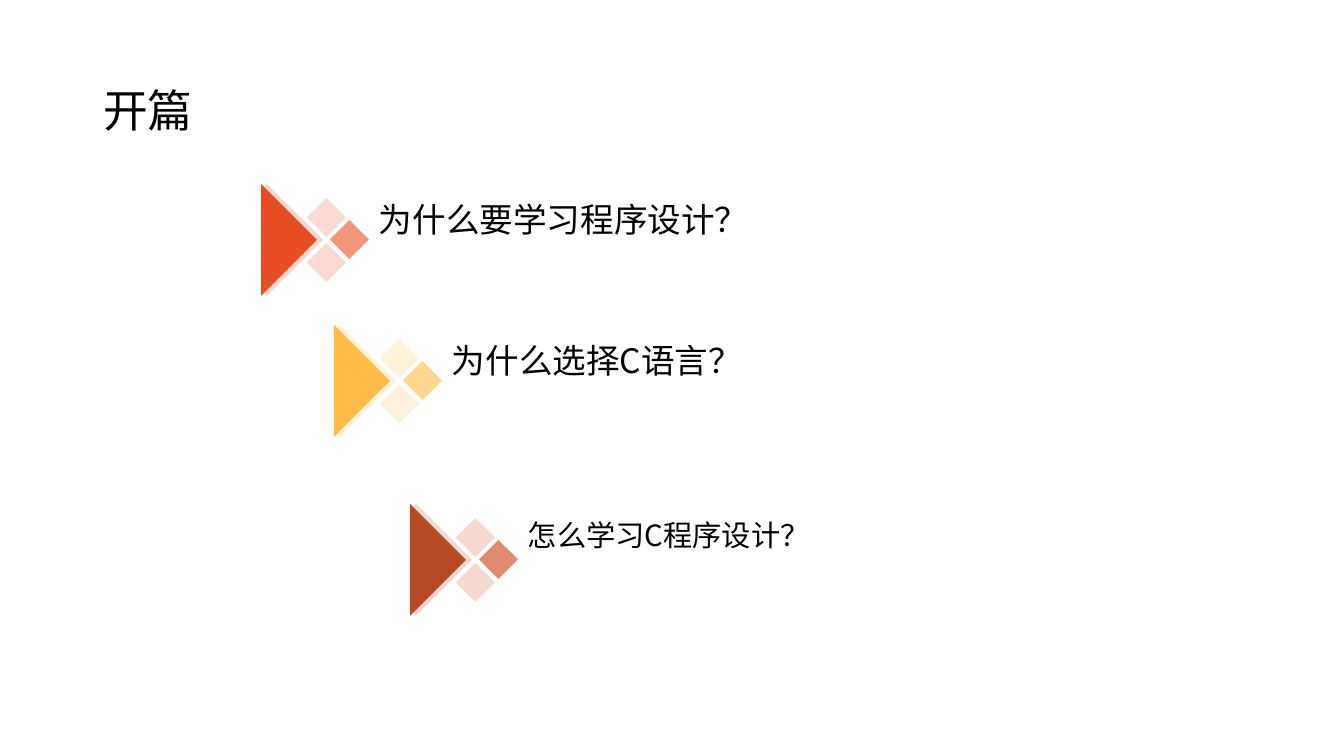
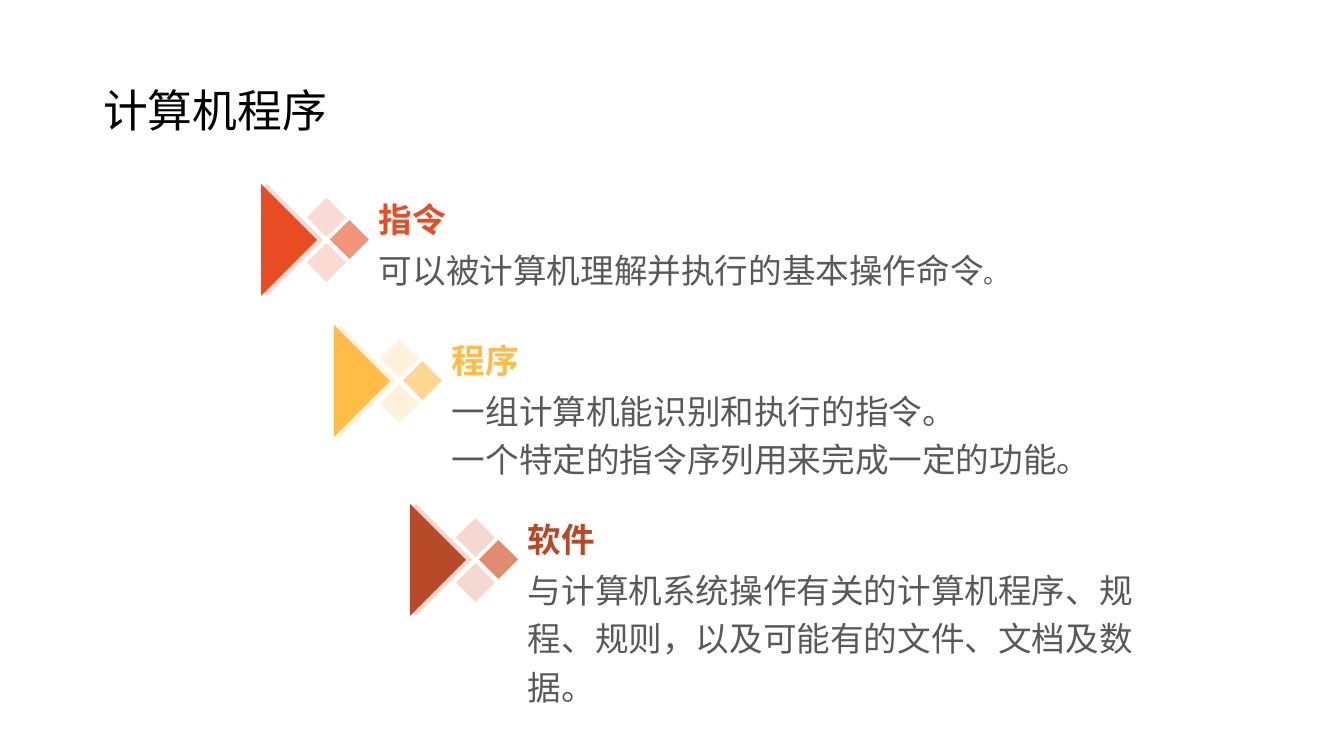
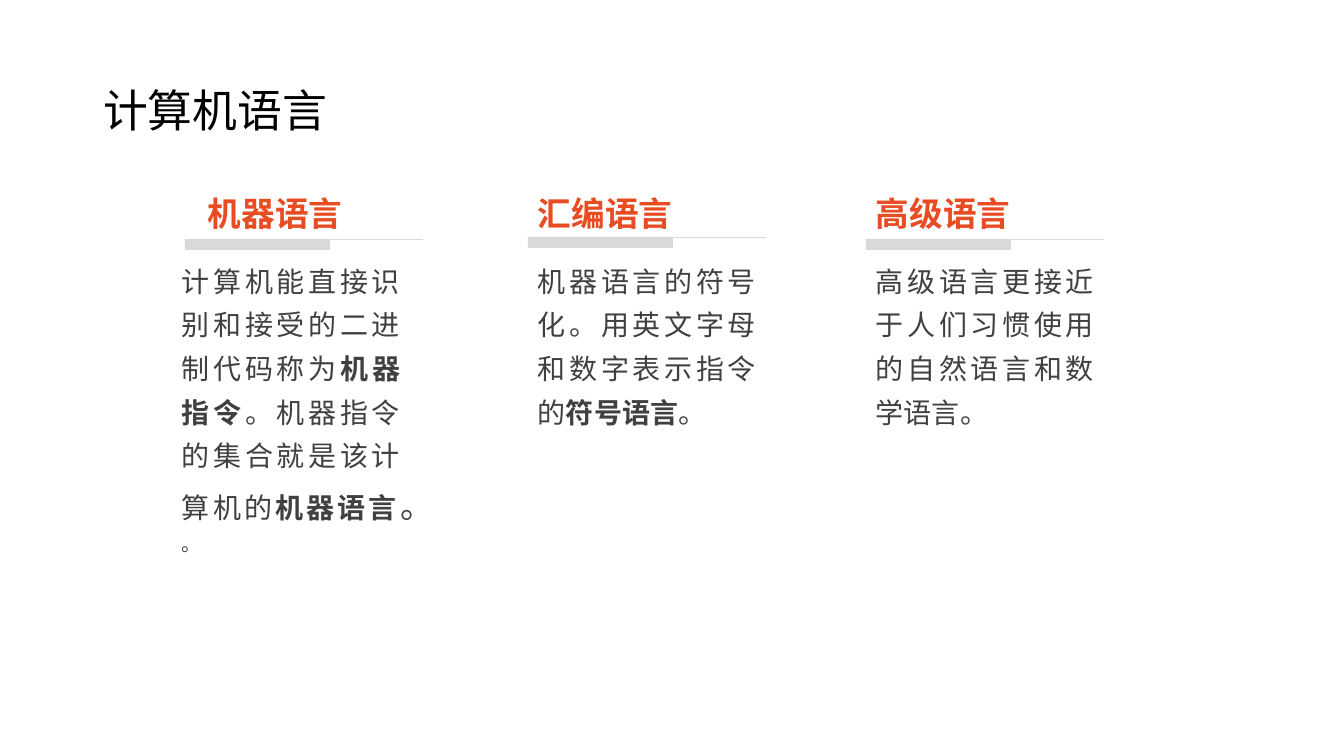
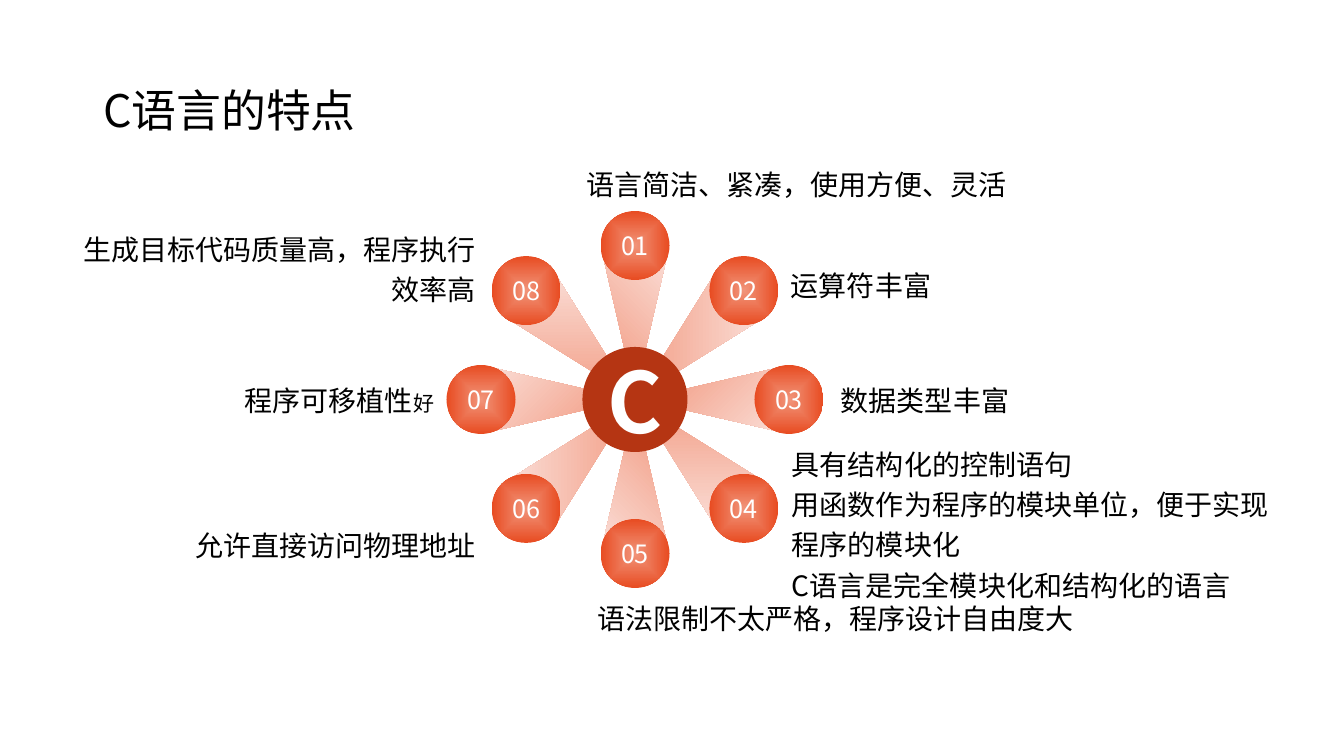
from dataclasses import dataclass, replace
from math import cos, radians, sin

from lxml.etree import SubElement
from pptx import Presentation
from pptx.dml.color import RGBColor
from pptx.enum.shapes import MSO_CONNECTOR as Connector, MSO_SHAPE as Preset
from pptx.enum.text import MSO_ANCHOR as Anchor, MSO_AUTO_SIZE as AutoSize, PP_ALIGN as Align
from pptx.oxml.ns import qn
from pptx.util import Emu, Pt

SCALE = 914400 / 100.8
FONT = "Noto Sans CJK SC"
WHITE = RGBColor(0xFF, 0xFF, 0xFF)
BLACK = RGBColor(0x00, 0x00, 0x00)
DARK_GRAY = RGBColor(0x40, 0x40, 0x40)
GRAY = RGBColor(0x59, 0x59, 0x59)
LIGHT_GRAY = RGBColor(0xD9, 0xD9, 0xD9)
ORANGE = RGBColor(0xE8, 0x4C, 0x22)
ORANGE_MID = RGBColor(0xF1, 0x94, 0x7A)
ORANGE_PALE = RGBColor(0xFA, 0xDB, 0xD3)
YELLOW = RGBColor(0xFF, 0xBD, 0x47)
YELLOW_MID = RGBColor(0xFF, 0xD7, 0x91)
YELLOW_PALE = RGBColor(0xFF, 0xF2, 0xDA)
BROWN = RGBColor(0xB6, 0x49, 0x26)
BROWN_MID = RGBColor(0xE1, 0x8B, 0x6F)
BROWN_PALE = RGBColor(0xF5, 0xD8, 0xCF)
HUB_RED = RGBColor(0xB5, 0x35, 0x13)


@dataclass(frozen=True)
class Style:
    size: float
    color: RGBColor
    bold: bool = False
    align: Align = Align.LEFT
    spacing: float = 1.0


@dataclass(frozen=True)
class Marker:
    left: int
    top: int
    main: RGBColor
    middle: RGBColor
    pale: RGBColor
    edge: RGBColor


TITLE = Style(32, BLACK, spacing=0.9)
QUESTION = Style(24, BLACK)
HEADING = Style(24, ORANGE, bold=True)
DESCRIPTION = Style(24, GRAY, spacing=1.2)
COLUMN = Style(20, DARK_GRAY, align=Align.JUSTIFY, spacing=1.3)
FEATURE = Style(20, BLACK, spacing=1.2)
NUMBER = Style(18, WHITE, align=Align.CENTER)
HUB = Style(60, WHITE, bold=True, align=Align.CENTER)

MARKERS = [
    Marker(261, 184, ORANGE, ORANGE_MID, ORANGE_PALE, BROWN_PALE),
    Marker(334, 325, YELLOW, YELLOW_MID, YELLOW_PALE, YELLOW_PALE),
    Marker(410, 504, BROWN, BROWN_MID, BROWN_PALE, BROWN_PALE),
]


def px(length):
    return Emu(round(length * SCALE))


def place(left, top, width, height):
    return px(left), px(top), px(width), px(height)


def write_text(frame, paragraphs, style, anchor):
    frame.word_wrap = True
    frame.auto_size = AutoSize.NONE
    frame.vertical_anchor = anchor
    for index, runs in enumerate(paragraphs):
        paragraph = frame.add_paragraph() if index else frame.paragraphs[0]
        paragraph.alignment = style.align
        paragraph.line_spacing = style.spacing
        for text, changes in runs:
            look = replace(style, **changes)
            run = paragraph.add_run()
            run.text = text
            run.font.size = Pt(look.size)
            run.font.bold = look.bold
            run.font.color.rgb = look.color
            run.font.name = FONT
            properties = run.font._element
            properties.set("lang", "zh-CN")
            SubElement(properties, qn("a:ea"), typeface=FONT)


def plain(*lines):
    return [[(line, {})] for line in lines]


def add_text(slide, box, paragraphs, style, anchor=Anchor.TOP):
    textbox = slide.shapes.add_textbox(*place(*box))
    write_text(textbox.text_frame, paragraphs, style, anchor)


def clean(shape):
    shape.shadow.inherit = False
    shape.line.fill.background()


def add_preset(slide, preset, box, color=None):
    shape = slide.shapes.add_shape(preset, *place(*box))
    clean(shape)
    if color is not None:
        shape.fill.solid()
        shape.fill.fore_color.rgb = color
    return shape


def add_outline(slide, left, top, points, color):
    (first_x, first_y), *others = [(left + x, top + y) for x, y in points]
    builder = slide.shapes.build_freeform(first_x, first_y, scale=SCALE)
    builder.add_line_segments(others, close=True)
    shape = builder.convert_to_shape()
    clean(shape)
    shape.fill.solid()
    shape.fill.fore_color.rgb = color


def fill_gradient(shape, inner, outer, centered=False):
    shape.fill.gradient()
    first, last = shape.fill.gradient_stops
    first.position, last.position = 0, 0.99
    first.color.rgb, last.color.rgb = inner, outer
    shape.fill.gradient_angle = 315
    if centered:
        gradient = shape._element.spPr.find(qn("a:gradFill"))
        gradient.remove(gradient.find(qn("a:lin")))
        shading = SubElement(gradient, qn("a:path"), path="shape")
        SubElement(shading, qn("a:fillToRect"), l="50000", t="50000", r="50000", b="50000")


def add_titled_slide(presentation, title):
    slide = presentation.slides.add_slide(presentation.slide_layouts[5])
    shape = slide.shapes.title
    shape.left, shape.top, shape.width, shape.height = place(93, 40, 1159, 146)
    write_text(shape.text_frame, plain(title), TITLE, Anchor.MIDDLE)
    return slide


def add_marker(slide, marker):
    left, top = marker.left, marker.top
    for x, y, color in [(46, 14, marker.pale), (46, 59, marker.pale), (69, 36, marker.middle)]:
        add_preset(slide, Preset.DIAMOND, (left + x, top + y, 39, 39), color)
    add_outline(slide, left, top,
                [(6, 0), (62, 56), (6, 112), (3, 109), (56, 56), (3, 3)], marker.edge)
    add_outline(slide, left, top, [(0, 0), (56, 56), (0, 112)], marker.main)


def add_marked_heading(slide, marker, text, style, lift=0):
    add_marker(slide, marker)
    box = (marker.left + 108, marker.top - lift, 386, 60)
    add_text(slide, box, plain(text), style, Anchor.BOTTOM)


def build_opening(presentation):
    slide = add_titled_slide(presentation, "开篇")
    questions = [("为什么要学习程序设计？", 24, 0), ("为什么选择C语言？", 24, 0),
                 ("怎么学习C程序设计？", 20.9, 7)]
    for marker, (text, size, lift) in zip(MARKERS, questions):
        add_marked_heading(slide, marker, text, replace(QUESTION, size=size), lift)


def build_programs(presentation):
    slide = add_titled_slide(presentation, "计算机程序")
    terms = [
        ("指令", 687, 71, [[("可以被计算机理解并执行的基本操作命令", {}), ("。", {"size": 18})]]),
        ("程序", 652, 112, plain("一组计算机能识别和执行的指令。",
                               "一个特定的指令序列用来完成一定的功能。")),
        ("软件", 651, 140, plain("与计算机系统操作有关的计算机程序、规程、规则，"
                               "以及可能有的文件、文档及数据。")),
    ]
    for marker, (term, width, height, description) in zip(MARKERS, terms):
        add_marked_heading(slide, marker, term, replace(HEADING, color=marker.main))
        box = (marker.left + 108, marker.top + 53, width, height)
        add_text(slide, box, description, DESCRIPTION)


def add_language(slide, left, bar_top, spread, heading, height, body):
    add_text(slide, (left + spread, 190, 238, 48), plain(heading), HEADING, Anchor.BOTTOM)
    add_text(slide, (left - spread, 249, 238, height), body, COLUMN)
    add_preset(slide, Preset.RECTANGLE, (left, bar_top, 145, 11), LIGHT_GRAY)
    rule = slide.shapes.add_connector(Connector.STRAIGHT, px(left), px(bar_top),
                                      px(left + 238), px(bar_top))
    rule.line.color.rgb = LIGHT_GRAY
    rule.line.width = Pt(0.5)
    SubElement(rule._element.spPr, qn("a:effectLst"))


def build_languages(presentation):
    slide = add_titled_slide(presentation, "计算机语言")
    strong = {"bold": True}
    machine = [
        [("计算机能直接识别和接受的二进制代码称为", {}), ("机器指令", strong),
         ("。机器指令的集合就是该计算机的", {}), ("机器语言", strong), ("。", {"size": 24})],
        [("。", {"size": 14})],
    ]
    assembly = [[("机器语言的符号化。用英文字母和数字表示指令的", {}),
                 ("符号语言", strong), ("。", {})]]
    high_level = plain("高级语言更接近于人们习惯使用的自然语言和数学语言。")
    add_language(slide, 185, 239, 13, "机器语言", 453, machine)
    add_language(slide, 528, 237, 0, "汇编语言", 270, assembly)
    add_language(slide, 866, 239, 0, "高级语言", 270, high_level)


def add_disc(slide, x, y, size, text, style, color=None):
    disc = add_preset(slide, Preset.OVAL, (x - size / 2, y - size / 2, size, size), color)
    frame = disc.text_frame
    frame.margin_left = frame.margin_right = frame.margin_top = frame.margin_bottom = 0
    write_text(frame, plain(text), style, Anchor.MIDDLE)
    return disc


def add_wheel(slide, center_x, center_y, count):
    def spot(index, distance):
        angle = radians(index * 360 / count)
        return center_x + distance * sin(angle), center_y - distance * cos(angle)

    for index in range(count):
        x, y = spot(index, 74)
        petal = add_preset(slide, Preset.ISOSCELES_TRIANGLE, (x - 32, y - 69.5, 64, 139))
        fill_gradient(petal, ORANGE_MID, ORANGE_PALE)
        petal.rotation = index * 360 / count
        petal._element.spPr.find(qn("a:xfrm")).set("flipV", "1")
    for index in range(count):
        x, y = spot(index, 154)
        disc = add_disc(slide, x, y, 69, f"{index + 1:02d}", NUMBER)
        fill_gradient(disc, ORANGE_MID, ORANGE, centered=True)
    add_disc(slide, center_x, center_y, 105, "C", HUB, HUB_RED)


def build_features(presentation):
    slide = add_titled_slide(presentation, "C语言的特点")
    add_wheel(slide, 635, 399.5, 8)
    features = [
        ((566, 166, 461, 40), Align.CENTER, Anchor.BOTTOM, plain("语言简洁、紧凑，使用方便、灵活")),
        ((781, 262, 201, 40), Align.LEFT, Anchor.MIDDLE, plain("运算符丰富")),
        ((831, 377, 234, 40), Align.LEFT, Anchor.MIDDLE, plain("数据类型丰富")),
        ((782, 437, 516, 168), Align.LEFT, Anchor.MIDDLE,
         plain("具有结构化的控制语句", "用函数作为程序的模块单位，便于实现程序的模块化",
               "C语言是完全模块化和结构化的语言")),
        ((564, 590, 543, 40), Align.CENTER, Anchor.TOP, plain("语法限制不太严格，程序设计自由度大")),
        ((56, 474, 430, 136), Align.RIGHT, Anchor.MIDDLE, plain("允许直接访问物理地址")),
        ((201, 377, 243, 40), Align.RIGHT, Anchor.MIDDLE,
         [[("程序可移植性", {}), ("好", {"size": 15})]]),
        ((69, 229, 417, 74), Align.RIGHT, Anchor.MIDDLE,
         plain("生成目标代码质量高，程序执行效率高")),
    ]
    for box, align, anchor, paragraphs in features:
        add_text(slide, box, paragraphs, replace(FEATURE, align=align), anchor)


presentation = Presentation()
presentation.slide_width = px(1344)
presentation.slide_height = px(756)
build_opening(presentation)
build_programs(presentation)
build_languages(presentation)
build_features(presentation)
presentation.save("out.pptx")
